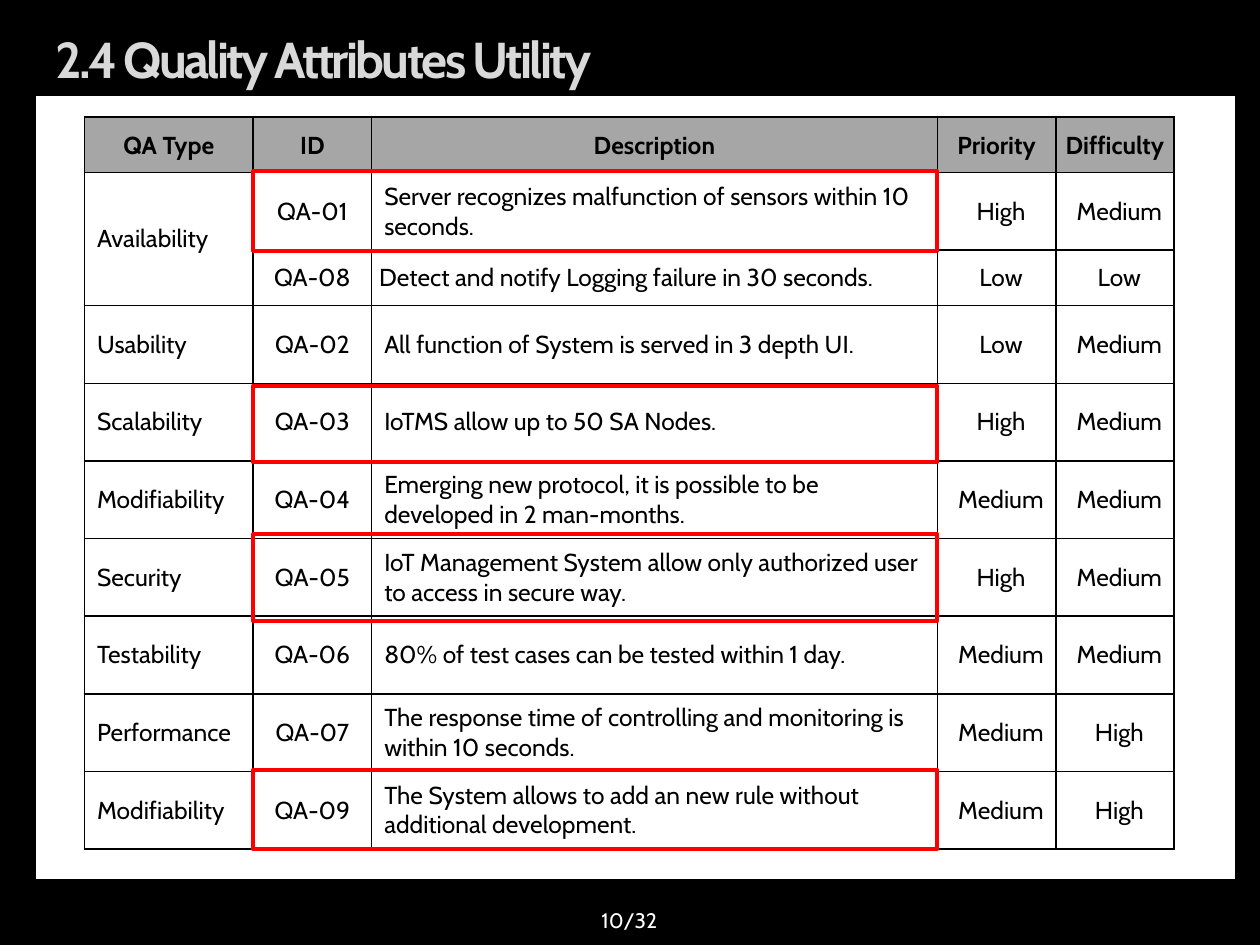
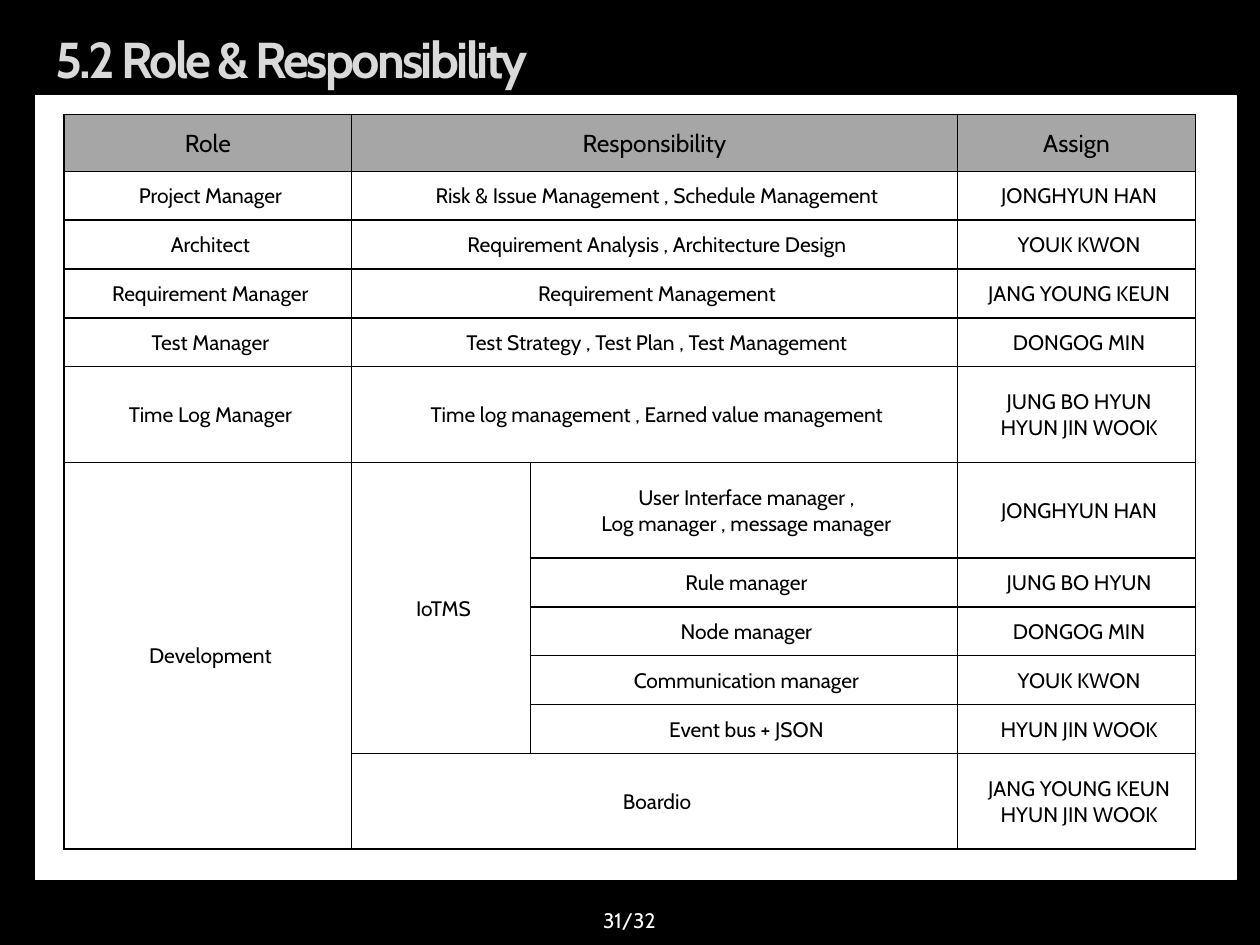
"""Build the quality attribute and responsibility slides."""
import lxml.etree
import pptx
import pptx.dml.color
import pptx.enum.shapes
import pptx.enum.text
import pptx.oxml.ns
import pptx.util

Inches = pptx.util.Inches
Pt = pptx.util.Pt
LEFT = pptx.enum.text.PP_ALIGN.LEFT
CENTER = pptx.enum.text.PP_ALIGN.CENTER
MIDDLE = pptx.enum.text.MSO_ANCHOR.MIDDLE

COLORS = {
    "black": "000000",
    "white": "FFFFFF",
    "title": "D9D9D9",
    "header": "A6A6A6",
    "highlight": "FF0000",
}
FONT = "Cabin"
PAGE_COUNT = 32
HEADER_MARGINS = (0.01, 0.01, 0.01, 0)
TEXT_MARGINS = (0.1, 0.05, 0.1, 0.05)
RATING_MARGINS = (0.07, 0, 0, 0)
ROLE_MARGINS = (0.08, 0.01, 0.04, 0)

QUALITY_ROWS = [
    ["QA Type", "ID", "Description", "Priority", "Difficulty"],
    ["Availability", "QA-01", "Server recognizes malfunction of sensors within 10 seconds.", "High", "Medium"],
    [None, "QA-08", "Detect and notify Logging failure in 30 seconds.", "Low", "Low"],
    ["Usability", "QA-02", "All function of System is served in 3 depth UI.", "Low", "Medium"],
    ["Scalability", "QA-03", "IoTMS allow up to 50 SA Nodes.", "High", "Medium"],
    ["Modifiability", "QA-04", "Emerging new protocol, it is possible to be developed in 2 man-months.", "Medium", "Medium"],
    ["Security", "QA-05", "IoT Management System allow only authorized user to access in secure way.", "High", "Medium"],
    ["Testability", "QA-06", "80% of test cases can be tested within 1 day.", "Medium", "Medium"],
    ["Performance", "QA-07", "The response time of controlling and monitoring is within 10 seconds.", "Medium", "High"],
    ["Modifiability", "QA-09", "The System allows to add an new rule without additional development.", "Medium", "High"],
]
HIGHLIGHTS = [(1.36, 0.63), (3.06, 0.61), (4.24, 0.69), (6.11, 0.63)]

ROLE_ROWS = [
    ["Role", "Responsibility", None, "Assign"],
    ["Project Manager", "Risk & Issue Management , Schedule Management", None, "JONGHYUN HAN"],
    ["Architect", "Requirement Analysis , Architecture Design", None, "YOUK KWON"],
    ["Requirement Manager", "Requirement Management", None, "JANG YOUNG KEUN"],
    ["Test Manager", "Test Strategy , Test Plan , Test Management", None, "DONGOG MIN"],
    ["Time Log Manager", "Time log management , Earned value management", None, "JUNG BO HYUN\nHYUN JIN WOOK"],
    ["Development", "IoTMS", "User Interface manager ,\nLog manager , message manager", "JONGHYUN HAN"],
    [None, None, "Rule manager", "JUNG BO HYUN"],
    [None, None, "Node manager", "DONGOG MIN"],
    [None, None, "Communication manager", "YOUK KWON"],
    [None, None, "Event bus + JSON", "HYUN JIN WOOK"],
    [None, "Boardio", None, "JANG YOUNG KEUN\nHYUN JIN WOOK"],
]
ROLE_SPANS = [(row, 1, row, 2) for row in (*range(6), 11)] + [(6, 0, 11, 0), (6, 1, 10, 1)]


class Deck:
    """Hold the shared style and the current slide."""

    def __init__(self):
        self.presentation = pptx.Presentation()
        self.presentation.slide_width = Inches(10)
        self.presentation.slide_height = Inches(7.5)
        self.slide = None

    def color(self, name):
        return pptx.dml.color.RGBColor.from_string(COLORS[name])

    def add_slide(self, title, page, panel_line):
        self.slide = self.presentation.slides.add_slide(self.presentation.slide_layouts[6])
        self.slide.background.fill.solid()
        self.slide.background.fill.fore_color.rgb = self.color("black")
        self.add_rectangle((0.28, 0.76, 9.53, 6.22), panel_line, 0.75, "white")
        self.add_text((0.34, 0.21, 9.14, 0.51), title, LEFT, 28.8, "title", True, -1.5)
        self.add_text((3.83, 7.1, 2.33, 0.4), f"{page}/{PAGE_COUNT}", CENTER, 12, "white")

    def add_rectangle(self, box, line, width, fill=None):
        shape = self.slide.shapes.add_shape(
            pptx.enum.shapes.MSO_SHAPE.RECTANGLE, *map(Inches, box))
        shape.shadow.inherit = False
        shape.line.color.rgb = self.color(line)
        shape.line.width = Pt(width)
        if fill:
            shape.fill.solid()
            shape.fill.fore_color.rgb = self.color(fill)
        else:
            shape.fill.background()

    def add_text(self, box, text, alignment, size, color, bold=False, spacing=0):
        frame = self.slide.shapes.add_textbox(*map(Inches, box)).text_frame
        frame.word_wrap = True
        frame.vertical_anchor = MIDDLE
        self.fill_text(frame, text, alignment, size, color, bold, spacing)

    def fill_text(self, frame, text, alignment, size, color, bold=False, spacing=0):
        for index, line in enumerate(text.split("\n")):
            paragraph = frame.add_paragraph() if index else frame.paragraphs[0]
            paragraph.alignment = alignment
            run = paragraph.add_run()
            run.text = line
            run.font.name = FONT
            run.font.size = Pt(size)
            run.font.bold = bold
            run.font.color.rgb = self.color(color)
            if spacing:
                run._r.get_or_add_rPr().set("spc", str(round(spacing * 100)))

    def add_table(self, box, widths, heights, rows, spans, styles, body_size, bold_header):
        table = self.slide.shapes.add_table(
            len(rows), len(widths), *map(Inches, box)).table
        table.first_row = table.horz_banding = False
        for column, width in zip(table.columns, widths):
            column.width = Inches(width)
        shared = (box[3] - sum(heights.values())) / (len(rows) - len(heights))
        for index, row in enumerate(table.rows):
            row.height = Inches(heights.get(index, shared))
        for row_index, row in enumerate(rows):
            header = row_index == 0
            for column_index, text in enumerate(row):
                cell = table.cell(row_index, column_index)
                alignment, margins = (CENTER, HEADER_MARGINS) if header else styles[column_index]
                self.style_cell(cell, "header" if header else "white", margins)
                if text:
                    self.fill_text(cell.text_frame, text, alignment, 14 if header else body_size,
                                   "black", header and bold_header)
        for top, left, bottom, right in spans:
            table.cell(top, left).merge(table.cell(bottom, right))
        return table

    def style_cell(self, cell, fill, margins):
        properties = cell._tc.get_or_add_tcPr()
        name = pptx.oxml.ns.qn
        for side in ("a:lnL", "a:lnR", "a:lnT", "a:lnB"):
            border = lxml.etree.SubElement(properties, name(side), w=str(Pt(1)))
            solid = lxml.etree.SubElement(border, name("a:solidFill"))
            lxml.etree.SubElement(solid, name("a:srgbClr"), val=COLORS["black"])
        cell.fill.solid()
        cell.fill.fore_color.rgb = self.color(fill)
        cell.vertical_anchor = MIDDLE
        (cell.margin_left, cell.margin_top,
         cell.margin_right, cell.margin_bottom) = map(Inches, margins)


def main():
    deck = Deck()

    deck.add_slide("2.4 Quality Attributes Utility", 10, "black")
    text_style, id_style = (LEFT, TEXT_MARGINS), (CENTER, TEXT_MARGINS)
    rating_style = (CENTER, RATING_MARGINS)
    quality_table = deck.add_table(
        (0.67, 0.93, 8.66, 5.81), [1.34, 0.94, 4.49, 0.94, 0.94], {0: 0.44, 2: 0.44},
        QUALITY_ROWS, [(1, 0, 2, 0)],
        [text_style, id_style, text_style, rating_style, rating_style], 14, True)
    quality_table.cell(2, 2).margin_left = Inches(0.06)
    for top, height in HIGHLIGHTS:
        deck.add_rectangle((2.01, top, 5.43, height), "highlight", 2.25)

    deck.add_slide("5.2 Role & Responsibility", 31, "white")
    deck.add_table(
        (0.51, 0.91, 8.98, 5.83), [2.28, 1.42, 3.39, 1.89],
        {0: 0.45, 5: 0.76, 6: 0.76, 11: 0.76},
        ROLE_ROWS, ROLE_SPANS, [(CENTER, ROLE_MARGINS)] * 4, 12, False)

    deck.presentation.save("out.pptx")


if __name__ == "__main__":
    main()
